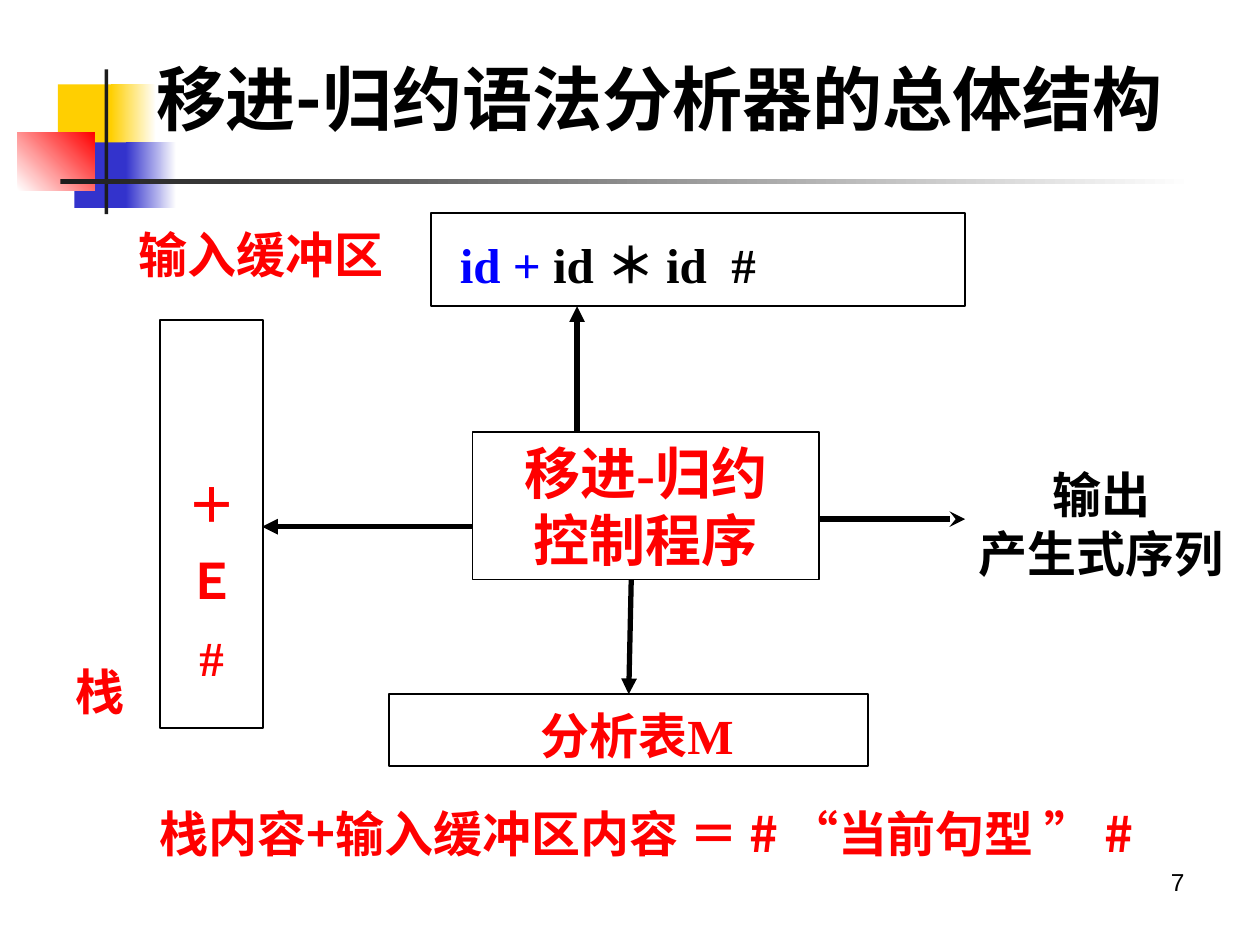
from dataclasses import dataclass

from lxml import etree
from pptx import Presentation
from pptx.dml.color import RGBColor
from pptx.enum import shapes, text
from pptx.oxml import ns
from pptx.util import Inches, Pt


@dataclass(frozen=True)
class Theme:
    """Colours, fonts and sizes of the slide."""
    black: str = "000000"
    dark: str = "1C1C1C"
    white: str = "FFFFFF"
    red: str = "FF0000"
    blue: str = "0000FF"
    indigo: str = "3333CC"
    gold: str = "FFCF01"
    serif: str = "Times New Roman"
    sans: str = "Arial"
    heading: str = "Roboto"
    chinese: str = "Noto Sans CJK SC"
    title_size: int = 40
    program_size: int = 32
    body_size: int = 28
    number_size: int = 14


THEME = Theme()
CENTER = text.PP_ALIGN.CENTER
MIDDLE = text.MSO_ANCHOR.MIDDLE


def style_font(font, color, size=THEME.body_size, name=THEME.serif, bold=True):
    """Set size, typeface, weight and colour of a font."""
    font.size, font.name, font.bold = Pt(size), name, bold
    font.color.rgb = RGBColor.from_string(color)


def write_lines(shape, lines, color=THEME.red, size=THEME.body_size, name=THEME.serif,
                bold=True, align=text.PP_ALIGN.LEFT, anchor=text.MSO_ANCHOR.TOP,
                spacing=None, left=0.1, top=0.05):
    """Write one paragraph per line in a single style."""
    frame = shape.text_frame
    frame.word_wrap, frame.vertical_anchor = True, anchor
    frame.margin_left, frame.margin_top = Inches(left), Inches(top)
    frame.text = "\n".join(lines)
    for paragraph in frame.paragraphs:
        paragraph.alignment, paragraph.line_spacing = align, spacing
        style_font(paragraph.font, color, size, name, bold)


def write_runs(shape, runs, **options):
    """Write one paragraph of (wording, colour, typeface) runs."""
    write_lines(shape, [""], **options)
    paragraph = shape.text_frame.paragraphs[0]
    for wording, color, name in runs:
        run = paragraph.add_run()
        run.text = wording
        style_font(run.font, color, name=name)


def add_label(slide, box, lines, **options):
    """Add a text box with one paragraph per line."""
    write_lines(slide.shapes.add_textbox(*map(Inches, box)), lines, **options)


def add_rectangle(slide, box):
    """Add a plain rectangle without fill or line."""
    shape = slide.shapes.add_shape(shapes.MSO_SHAPE.RECTANGLE, *map(Inches, box))
    shape.shadow.inherit = False
    shape.fill.background()
    shape.line.fill.background()
    return shape


def add_frame(slide, box):
    """Add an unfilled rectangle with a thin black outline."""
    shape = add_rectangle(slide, box)
    shape.line.color.rgb = RGBColor.from_string(THEME.black)
    shape.line.width = Pt(1)
    return shape


def add_bar(slide, box, start, end=None, angle=0):
    """Add a rectangle filled with one colour or a gradient of two."""
    fill = add_rectangle(slide, box).fill
    if end is None:
        fill.solid()
        fill.fore_color.rgb = RGBColor.from_string(start)
        return
    fill.gradient()
    fill.gradient_angle = angle
    for stop, color in zip(fill.gradient_stops, (start, end)):
        stop.color.rgb = RGBColor.from_string(color)


def add_arrow(slide, start, end, head="triangle"):
    """Add a thick black arrow between two points."""
    points = map(Inches, (*start, *end))
    arrow = slide.shapes.add_connector(shapes.MSO_CONNECTOR.STRAIGHT, *points)
    arrow.line.color.rgb = RGBColor.from_string(THEME.black)
    arrow.line.width = Pt(3)
    etree.SubElement(arrow.line._get_or_add_ln(), ns.qn("a:tailEnd"), type=head)
    etree.SubElement(arrow._element.spPr, ns.qn("a:effectLst"))


def add_ornament(slide, box):
    """Draw the coloured squares, upright bar and fading rule."""
    left, top, width, height = box
    add_bar(slide, (left + 0.32, top + 0.12, 0.48, 0.52), THEME.gold)
    add_bar(slide, (left + 0.74, top + 0.12, 0.36, 0.52), THEME.gold, THEME.white)
    add_bar(slide, (left + 0.45, top + 0.58, 0.46, 0.52), THEME.indigo)
    add_bar(slide, (left + 0.86, top + 0.58, 0.4, 0.52), THEME.indigo, THEME.white)
    add_bar(slide, (left, top + 0.5, 0.61, 0.46), THEME.white, THEME.red, 45)
    add_bar(slide, (left + 0.69, top, 0.03, height), THEME.dark)
    add_bar(slide, (left + 0.34, top + 0.87, width - 0.34, 0.04), THEME.dark, THEME.white)


def add_input_buffer(slide, box):
    """Draw the input buffer and its label on the left."""
    left, top, width, height = box
    write_runs(add_frame(slide, (left + 2.42, top + 0.03, width - 2.42, height)),
               [("id + ", THEME.blue, THEME.serif), ("id ＊ id  #", THEME.black, THEME.serif)],
               anchor=MIDDLE, left=0.23, top=0.12)
    add_label(slide, (left, top, 2.25, 0.7), ["输入缓冲区"], top=0.12)


def add_stack(slide, box):
    """Draw the stack and its label at the lower left."""
    left, top, width, height = box
    write_lines(add_frame(slide, (left + 0.77, top, width - 0.77, height)),
                ["＋", "Ｅ", "#"], align=CENTER, anchor=MIDDLE, spacing=1.3, top=0.8)
    add_label(slide, (left, top + height - 0.58, 0.59, 0.57), ["栈"])


def add_control_program(slide, box):
    """Draw the control program with its four outgoing arrows."""
    left, top, width, height = box
    right, bottom = left + width, top + height
    write_lines(add_frame(slide, box), ["移进-归约", "控制程序"],
                size=THEME.program_size, align=CENTER, anchor=MIDDLE)
    add_arrow(slide, (left + 0.83, top), (left + 0.83, top - 1))
    add_arrow(slide, (right, top + 0.69), (right + 1.16, top + 0.69), "stealth")
    add_arrow(slide, (left + 1.26, bottom), (left + 1.24, bottom + 0.91))
    add_arrow(slide, (left, top + 0.75), (left - 1.67, top + 0.75))


def add_parsing_table(slide, box):
    """Draw the parsing table box."""
    write_lines(add_frame(slide, box), ["分析表M"], align=CENTER, anchor=MIDDLE,
                left=0.23, top=0.12)


def add_summary(slide, box):
    """Write the relation between stack, buffer and sentential form."""
    pieces = [("栈内容+输入缓冲区内容 ＝ # ", THEME.chinese), ("“", THEME.serif),
              ("当前句型 ", THEME.chinese), ("” ", THEME.serif), ("#", THEME.chinese)]
    write_runs(slide.shapes.add_textbox(*map(Inches, box)),
               [(wording, THEME.red, name) for wording, name in pieces])


def main():
    """Build the parser structure slide and save it."""
    presentation = Presentation()
    presentation.slide_width, presentation.slide_height = Inches(10), Inches(7.5)
    slide = presentation.slides.add_slide(presentation.slide_layouts[6])
    add_ornament(slide, (0.14, 0.55, 9.34, 1.15))
    add_label(slide, (7.17, 6.83, 2.33, 0.52), ["7"], color=THEME.black,
              size=THEME.number_size, name=THEME.sans, bold=False, align=text.PP_ALIGN.RIGHT)
    add_label(slide, (1.14, 0.39, 8.5, 0.76), ["移进-归约语法分析器的总体结构"],
              color=THEME.black, size=THEME.title_size, name=THEME.heading, anchor=MIDDLE)
    add_input_buffer(slide, (1, 1.66, 6.66, 0.74))
    add_stack(slide, (0.5, 2.54, 1.59, 3.24))
    add_control_program(slide, (3.75, 3.43, 2.75, 1.17))
    add_label(slide, (7.6, 3.64, 2.28, 1.04), ["输出", "产生式序列"],
              color=THEME.black, align=CENTER)
    add_parsing_table(slide, (3.09, 5.51, 3.8, 0.57))
    add_summary(slide, (1.17, 6.33, 8.25, 1.04))
    presentation.save("out.pptx")


if __name__ == "__main__":
    main()
